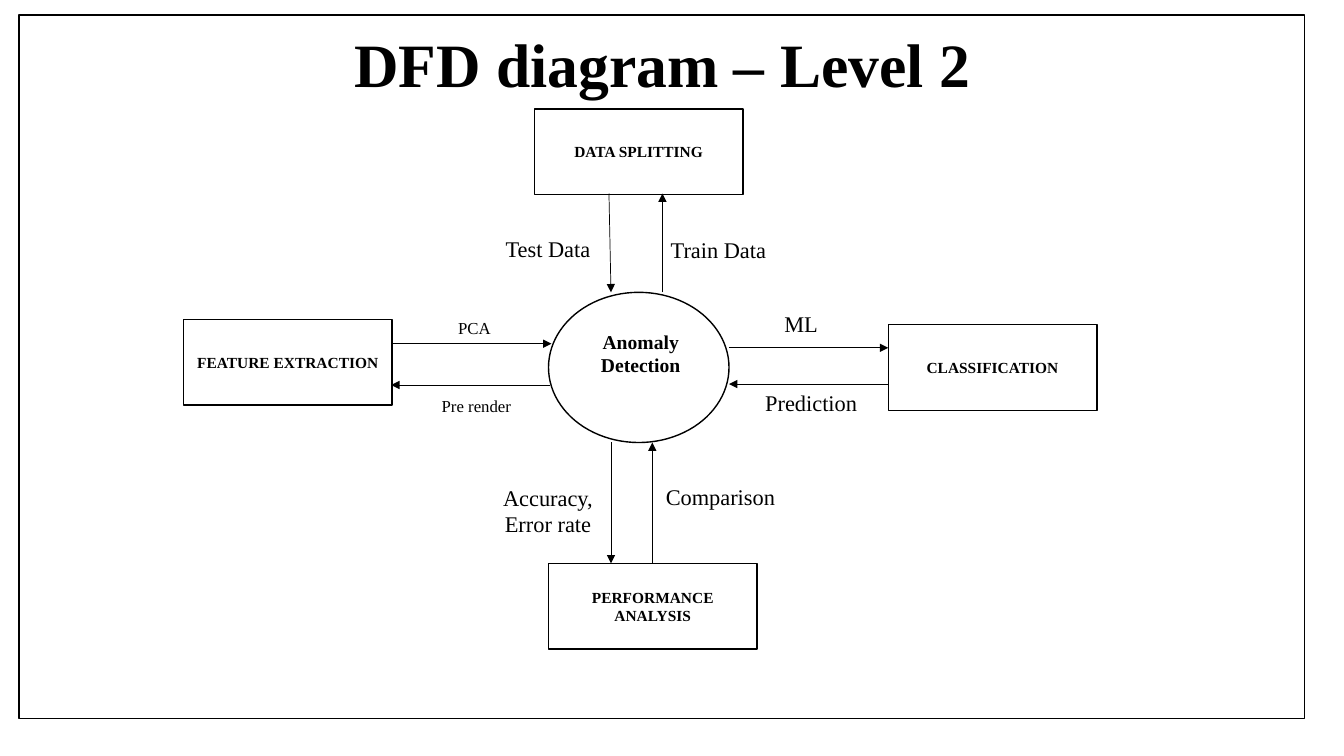
from pptx import Presentation
from pptx.dml.color import RGBColor
from pptx.enum.shapes import MSO_CONNECTOR, MSO_SHAPE
from pptx.enum.text import MSO_ANCHOR, PP_ALIGN
from pptx.oxml.ns import qn
from pptx.util import Inches, Pt
from lxml.etree import SubElement

TITLE = "DFD diagram – Level 2"
PROCESS = "Anomaly Detection"

# name: left, top
ENTITIES = {
    "CLASSIFICATION": (8.81, 3.22),
    "FEATURE EXTRACTION": (1.82, 3.17),
    "PERFORMANCE ANALYSIS": (5.44, 5.59),
    "DATA SPLITTING": (5.3, 1.08),
}
ENTITY_SIZE = (2.07, 0.85)

# start x, start y, end x, end y
FLOWS = [
    (3.89, 3.41, 5.47, 3.41),
    (5.46, 3.82, 3.88, 3.82),
    (7.23, 3.45, 8.81, 3.45),
    (8.81, 3.81, 7.23, 3.81),
    (6.04, 1.92, 6.06, 2.9),
    (6.57, 2.9, 6.57, 1.92),
    (6.06, 4.39, 6.06, 5.59),
    (6.47, 5.59, 6.47, 4.39),
]

# text, left, top, size name
LABELS = [
    ("PCA", 3.98, 3.1, "small_label"),
    ("Pre render", 4, 3.88, "small_label"),
    ("ML", 7.22, 3.03, "label"),
    ("Prediction", 7.32, 3.81, "label"),
    ("Train Data", 6.4, 2.29, "label"),
    ("Test Data", 4.71, 2.28, "label"),
    ("Accuracy,\nError rate", 4.71, 4.75, "label"),
    ("Comparison", 6.42, 4.74, "label"),
]
LABEL_WIDTH = 1.45

THEME = {
    "font": "Times New Roman",
    "ink": RGBColor(0, 0, 0),
    "paper": RGBColor(255, 255, 255),
    "outline": Pt(1),
    "flow": Pt(0.5),
    "sizes": {"title": 44, "process": 14, "entity": 11, "label": 16, "small_label": 12},
}


def write(box, text, size_name, bold=False, anchor=MSO_ANCHOR.TOP):
    frame = box.text_frame
    frame.word_wrap = True
    frame.vertical_anchor = anchor
    frame.text = text
    for para in frame.paragraphs:
        para.alignment = PP_ALIGN.CENTER
        for span in para.runs:
            span.font.name = THEME["font"]
            span.font.size = Pt(THEME["sizes"][size_name])
            span.font.bold = bold
            span.font.color.rgb = THEME["ink"]


def add_outline(page, kind, left, top, width, height, filled=False):
    shape = page.shapes.add_shape(
        kind, Inches(left), Inches(top), Inches(width), Inches(height))
    shape.shadow.inherit = False
    if filled:
        shape.fill.solid()
        shape.fill.fore_color.rgb = THEME["paper"]
    else:
        shape.fill.background()
    shape.line.color.rgb = THEME["ink"]
    shape.line.width = THEME["outline"]
    return shape


def add_text(page, text, left, top, width, height, size_name, **style):
    box = page.shapes.add_textbox(
        Inches(left), Inches(top), Inches(width), Inches(height))
    write(box, text, size_name, **style)
    return box


def add_flow(page, *ends):
    arrow = page.shapes.add_connector(
        MSO_CONNECTOR.STRAIGHT, *(Inches(value) for value in ends))
    arrow.line.color.rgb = THEME["ink"]
    arrow.line.width = THEME["flow"]
    SubElement(arrow.line._get_or_add_ln(), qn("a:tailEnd"), type="triangle")
    SubElement(arrow._element.spPr, qn("a:effectLst"))


def main():
    deck = Presentation()
    deck.slide_width, deck.slide_height = Inches(13.33), Inches(7.5)
    page = deck.slides.add_slide(deck.slide_layouts[6])

    add_outline(page, MSO_SHAPE.RECTANGLE, 0.19, 0.15, 12.75, 6.98)
    title = add_text(page, TITLE, 0.82, 0.14, 11.5, 1.05, "title",
                     bold=True, anchor=MSO_ANCHOR.MIDDLE)
    title.text_frame.paragraphs[0].line_spacing = 0.9

    add_outline(page, MSO_SHAPE.OVAL, 5.44, 2.9, 1.79, 1.49)
    add_text(page, PROCESS, 5.63, 3.22, LABEL_WIDTH, 0.57, "process", bold=True)

    for name, corner in ENTITIES.items():
        entity = add_outline(page, MSO_SHAPE.RECTANGLE, *corner, *ENTITY_SIZE, filled=True)
        write(entity, name, "entity", bold=True, anchor=MSO_ANCHOR.MIDDLE)

    for ends in FLOWS:
        add_flow(page, *ends)

    for text, left, top, size_name in LABELS:
        lines = text.count("\n") + 1
        height = 0.1 + lines * THEME["sizes"][size_name] * 1.2 / 72
        add_text(page, text, left, top, LABEL_WIDTH, round(height, 2), size_name)

    deck.save("out.pptx")


if __name__ == "__main__":
    main()
